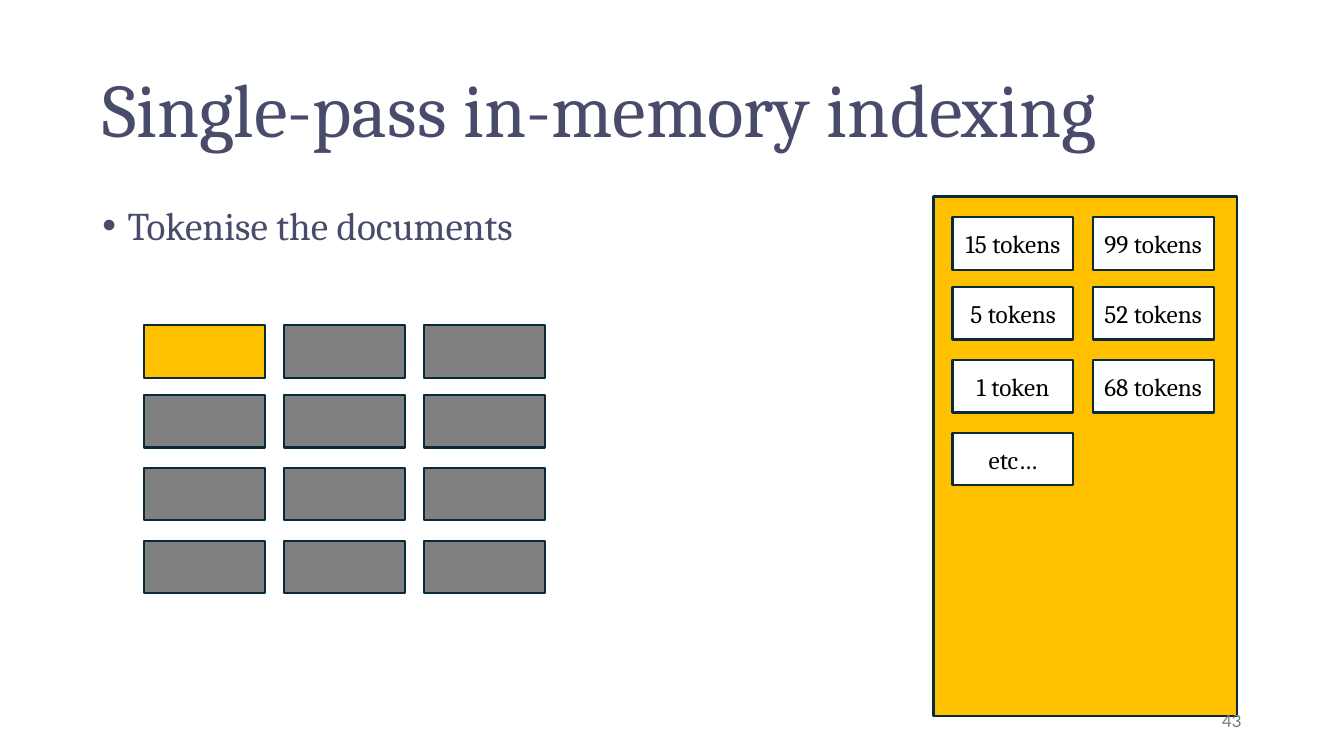
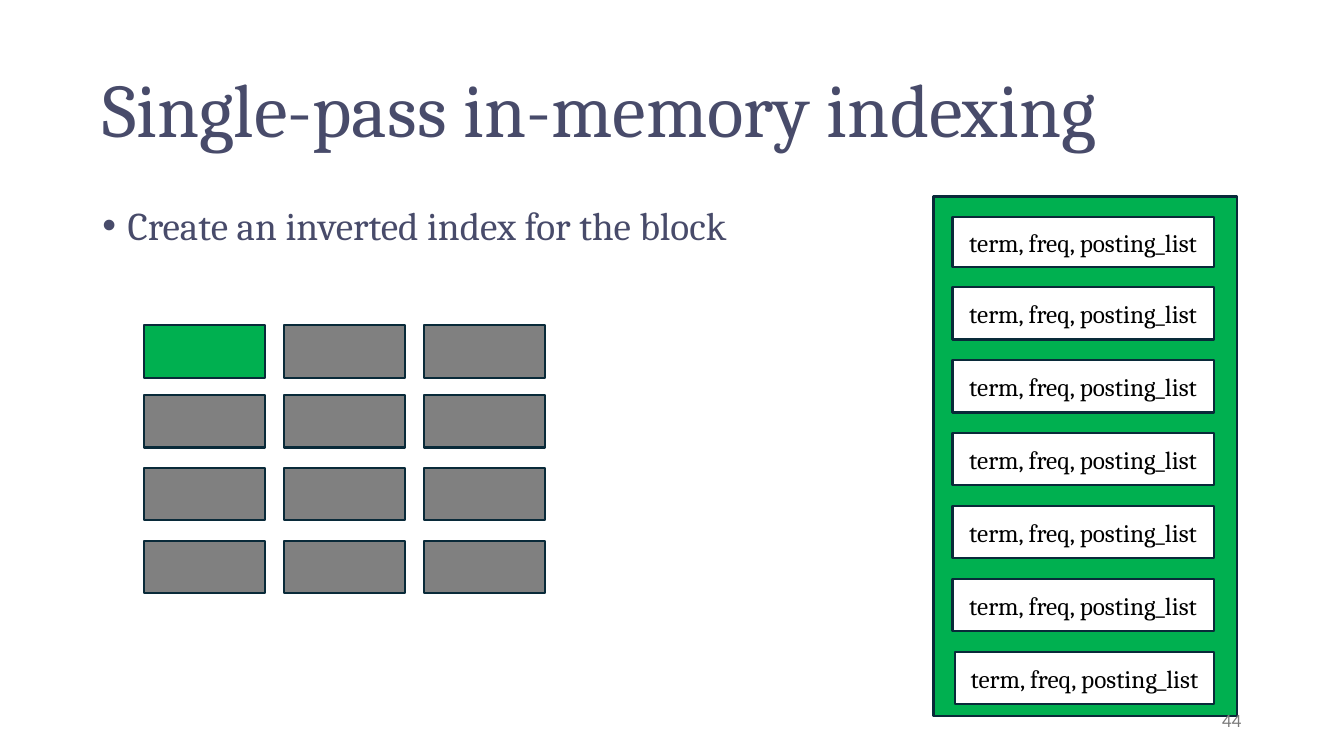
from dataclasses import dataclass, replace

from lxml import etree
from pptx import Presentation
from pptx.dml.color import RGBColor
from pptx.enum.shapes import MSO_SHAPE
from pptx.enum.text import MSO_ANCHOR, MSO_AUTO_SIZE, PP_ALIGN
from pptx.oxml.ns import qn
from pptx.slide import Slide
from pptx.text.text import TextFrame, _Paragraph
from pptx.util import Pt

RECT = MSO_SHAPE.RECTANGLE
MIDDLE, TOP = MSO_ANCHOR.MIDDLE, MSO_ANCHOR.TOP
LEFT, CENTER, RIGHT = PP_ALIGN.LEFT, PP_ALIGN.CENTER, PP_ALIGN.RIGHT
FIXED = MSO_AUTO_SIZE.NONE

COLORS = {
    "text": "484B6A", "edge": "092A39", "idle": "808080", "gold": "FFC000",
    "green": "00B050", "white": "FFFFFF", "black": "000000", "number": "797979",
}
SERIF, SANS = "Cambria", "Lato"
TITLE = "Single-pass in-memory indexing"

CELL_W, CELL_H = 86.4, 37.6
COL_STEP, FIRST_STEP, ROW_STEP = 100.1, 49.7, 52.1
GRID_X, GRID_Y = 103, 232.4
CARD_X, CARD_Y = 680.4, 155.3
GRID_COLS, GRID_ROWS = 3, 4


@dataclass(frozen=True)
class Box:
    x: float
    y: float
    w: float
    h: float
    fill: str = "white"
    text: str = ""


@dataclass(frozen=True)
class Step:
    number: int
    point: str
    color: str
    cards: list[Box]


PANEL = Box(666.8, 140.4, 216.7, 371)


def color(name: str) -> RGBColor:
    return RGBColor.from_string(COLORS[name])


def row_y(top: float, row: int) -> float:
    """The first row gap is slightly tighter than the others."""
    return top + (FIRST_STEP + ROW_STEP * (row - 1) if row else 0)


def place(shape, x: float, y: float, w: float, h: float) -> None:
    shape.left, shape.top, shape.width, shape.height = Pt(x), Pt(y), Pt(w), Pt(h)


def write(frame: TextFrame, text: str, size: float, tint: str, align: PP_ALIGN,
          anchor: MSO_ANCHOR = MIDDLE, font: str = SERIF) -> _Paragraph:
    frame.word_wrap = True
    frame.auto_size = FIXED
    frame.vertical_anchor = anchor
    para = frame.paragraphs[0]
    para.alignment = align
    run = para.add_run()
    run.text = text
    run.font.size, run.font.name = Pt(size), font
    run.font.color.rgb = color(tint)
    return para


def add_box(slide: Slide, box: Box) -> None:
    shape = slide.shapes.add_shape(RECT, Pt(box.x), Pt(box.y), Pt(box.w), Pt(box.h))
    shape.shadow.inherit = False
    shape.fill.solid()
    shape.fill.fore_color.rgb = color(box.fill)
    shape.line.color.rgb = color("edge")
    shape.line.width = Pt(1.5)
    if box.text:
        frame = shape.text_frame
        frame.margin_left = frame.margin_right = Pt(0)
        write(frame, box.text, 18, "black", CENTER)


def add_title(slide: Slide) -> None:
    title = slide.shapes.title
    place(title, 66, 28.8, 828, 104.4)
    write(title.text_frame, TITLE, 54, "text", LEFT).line_spacing = 0.9


def add_point(slide: Slide, text: str) -> None:
    area = slide.shapes.add_textbox(Pt(66), Pt(144), Pt(594), Pt(60))
    para = write(area.text_frame, text, 28, "text", LEFT, TOP)
    para.line_spacing = 0.9
    props = para._p.get_or_add_pPr()
    props.set("marL", str(Pt(18)))
    props.set("indent", str(-Pt(18)))
    etree.SubElement(props, qn("a:buFont")).set("typeface", "Arial")
    etree.SubElement(props, qn("a:buChar")).set("char", "•")


def add_grid(slide: Slide, lit: str) -> None:
    """Draw the document blocks, with the first one lit."""
    for col in range(GRID_COLS):
        for row in range(GRID_ROWS):
            fill = "idle" if col or row else lit
            add_box(slide, Box(GRID_X + col * COL_STEP, row_y(GRID_Y, row),
                               CELL_W, CELL_H, fill))


def add_number(slide: Slide, number: int) -> None:
    area = slide.shapes.add_textbox(Pt(678), Pt(500.4), Pt(216), Pt(28.8))
    write(area.text_frame, str(number), 12, "number", RIGHT, font=SANS)


def token_cards() -> list[Box]:
    cols = (("15 tokens", "5 tokens", "1 token", "etc…"),
            ("99 tokens", "52 tokens", "68 tokens"))
    return [Box(CARD_X + col * COL_STEP, row_y(CARD_Y, row), CELL_W, CELL_H, text=text)
            for col, texts in enumerate(cols) for row, text in enumerate(texts)]


def term_cards() -> list[Box]:
    wide = CELL_W + COL_STEP
    cards = [Box(CARD_X, row_y(CARD_Y, row), wide, CELL_H, text="term, freq, posting_list")
             for row in range(7)]
    cards[0] = replace(cards[0], h=35.3)
    cards[-1] = replace(cards[-1], x=CARD_X + 2, w=wide - 2)
    return cards


def add_step(deck, step: Step) -> None:
    slide = deck.slides.add_slide(deck.slide_layouts[5])
    add_title(slide)
    add_point(slide, step.point)
    add_grid(slide, step.color)
    add_box(slide, replace(PANEL, fill=step.color))
    for card in step.cards:
        add_box(slide, card)
    add_number(slide, step.number)


def main() -> None:
    deck = Presentation()
    deck.slide_width, deck.slide_height = Pt(960), Pt(540)
    steps = (
        Step(43, "Tokenise the documents", "gold", token_cards()),
        Step(44, "Create an inverted index for the block", "green", term_cards()),
    )
    for step in steps:
        add_step(deck, step)
    deck.save("out.pptx")


if __name__ == "__main__":
    main()
